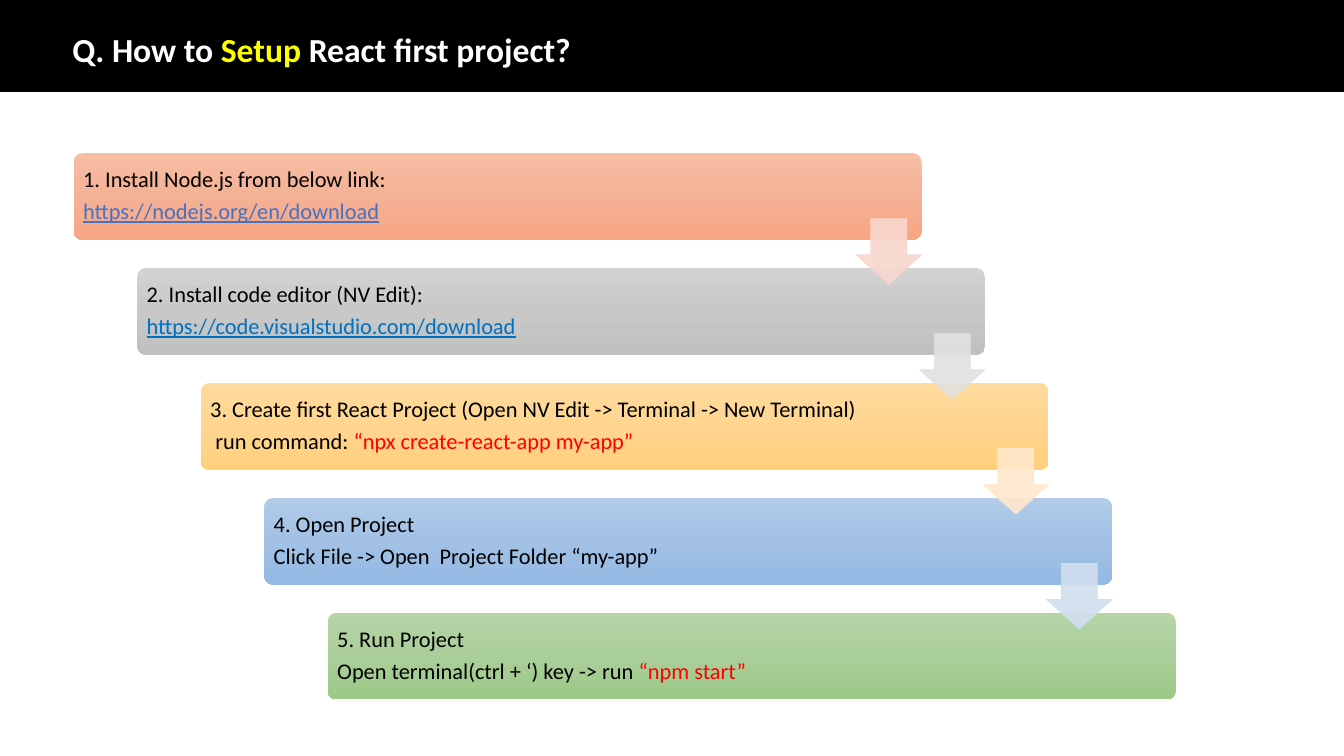
from copy import deepcopy

from pptx import Presentation
from pptx.dml.color import RGBColor
from pptx.enum.shapes import MSO_SHAPE
from pptx.enum.text import MSO_ANCHOR, PP_ALIGN
from pptx.oxml.ns import qn
from pptx.util import Inches, Pt

RECTANGLE = MSO_SHAPE.RECTANGLE
ROUNDED = MSO_SHAPE.ROUNDED_RECTANGLE
DOWN_ARROW = MSO_SHAPE.DOWN_ARROW
MIDDLE = MSO_ANCHOR.MIDDLE
LEFT = PP_ALIGN.LEFT

FONT = "Calibri"
BLACK, WHITE, YELLOW, RED = "000000", "FFFFFF", "FFFF00", "FF0000"

# Staircase grid: every step moves one column right and one row down
COLUMN, ROW = 0.63, 1.14
CARD_ORIGIN, CARD_SIZE = (0.73, 1.52), (8.41, 0.86)
ARROW_ORIGIN, ARROW_SIZE = (8.49, 2.17), (0.65, 0.65)

# Each step: gradient, arrow colour, lines made of (text, colour, underlined)
STEPS = [
    (("F7BDA5", "F5B196", "F8A582"), "F8D7CE",
     [[("1. Install Node.js from below link:", BLACK, False)],
      [("https://nodejs.org/en/download", "4472C4", True)]]),
    (("D2D2D2", "C8C8C8", "C0C0C0"), "E1E1E1",
     [[("2. Install code editor (NV Edit):", BLACK, False)],
      [("https://code.visualstudio.com/download", "0070C0", True)]]),
    (("FFDB9E", "FFD590", "FFD07C"), "FFE8CC",
     [[("3. Create first React Project (Open NV Edit -> Terminal -> New Terminal)", BLACK, False)],
      [(" run command: ", BLACK, False), ("“npx create-react-app my-app”", RED, False)]]),
    (("B1CBE9", "A3C1E5", "93B9E4"), "D2DEEF",
     [[("4. Open Project", BLACK, False)],
      [("Click File -> Open  Project Folder “my-app”", BLACK, False)]]),
    (("B5D5A7", "AACE9A", "9CC987"), None,
     [[("5. Run Project", BLACK, False)],
      [("Open terminal(ctrl + ‘) key -> run ", BLACK, False), ("“npm start”", RED, False)]]),
]


def rgb(hex_color):
    return RGBColor.from_string(hex_color)


def add_block(slide, kind, origin, size, step=0):
    left, top = origin[0] + step * COLUMN, origin[1] + step * ROW
    block = slide.shapes.add_shape(kind, *map(Inches, (left, top, *size)))
    block.shadow.inherit = False
    return block


def write_lines(frame, lines, size, bold=False, space_after=0):
    frame.word_wrap = True
    frame.vertical_anchor = MIDDLE
    for index, line in enumerate(lines):
        paragraph = frame.add_paragraph() if index else frame.paragraphs[0]
        paragraph.alignment = LEFT
        paragraph.line_spacing = 0.9
        paragraph.space_after = Pt(space_after)
        for text, color, underlined in line:
            run = paragraph.add_run()
            run.text = text
            run.font.name, run.font.size, run.font.bold = FONT, Pt(size), bold
            run.font.color.rgb = rgb(color)
            if underlined:
                run.font.underline = True


def fill_gradient(block, colors):
    block.fill.gradient()
    block.fill.gradient_angle = 270
    stops = block._element.spPr.find(".//" + qn("a:gsLst"))
    stops.insert(1, deepcopy(stops[0]))
    for stop, position, color in zip(block.fill.gradient_stops, (0, 0.5, 1), colors):
        stop.position = position
        stop.color.rgb = rgb(color)


def add_header(slide, width):
    banner = add_block(slide, RECTANGLE, (0, 0), (width, 0.91))
    banner.fill.solid()
    banner.fill.fore_color.rgb = rgb(BLACK)
    banner.line.color.rgb = rgb(BLACK)
    banner.line.width = Pt(1)
    title = slide.shapes.add_textbox(*map(Inches, (0.62, 0.34, 11.5, 0.35)))
    write_lines(title.text_frame, [[("Q. How to ", WHITE, False), ("Setup", YELLOW, False),
                                    (" React first project?", WHITE, False)]], 24, bold=True)


def add_card(slide, step, gradient, lines):
    card = add_block(slide, ROUNDED, CARD_ORIGIN, CARD_SIZE, step)
    card.adjustments[0] = 0.1
    fill_gradient(card, gradient)
    card.line.fill.background()
    frame = card.text_frame
    frame.margin_left = frame.margin_right = Inches(0.07)
    frame.margin_top = frame.margin_bottom = Inches(0.07)
    write_lines(frame, lines, 16, space_after=5.5)


def add_arrow(slide, step, color):
    arrow = add_block(slide, DOWN_ARROW, ARROW_ORIGIN, ARROW_SIZE, step)
    arrow.adjustments[0], arrow.adjustments[1] = 0.55, 0.45
    arrow.line.width = Pt(0.5)
    arrow.fill.solid()
    for paint in (arrow.fill.fore_color, arrow.line.color):
        paint.rgb = rgb(color)
    # 90 % opacity on both fill and outline
    for tone in arrow._element.spPr.iter(qn("a:srgbClr")):
        tone.append(tone.makeelement(qn("a:alpha"), {"val": "90000"}))


def main():
    deck = Presentation()
    deck.slide_width, deck.slide_height = Inches(13.33), Inches(7.5)
    slide = deck.slides.add_slide(deck.slide_layouts[6])
    add_header(slide, deck.slide_width.inches)

    # Cards first, so that the arrows overlap them
    for step, (gradient, _, lines) in enumerate(STEPS):
        add_card(slide, step, gradient, lines)
    for step, (_, arrow_color, _) in enumerate(STEPS):
        if arrow_color:
            add_arrow(slide, step, arrow_color)
    deck.save("out.pptx")


if __name__ == "__main__":
    main()
